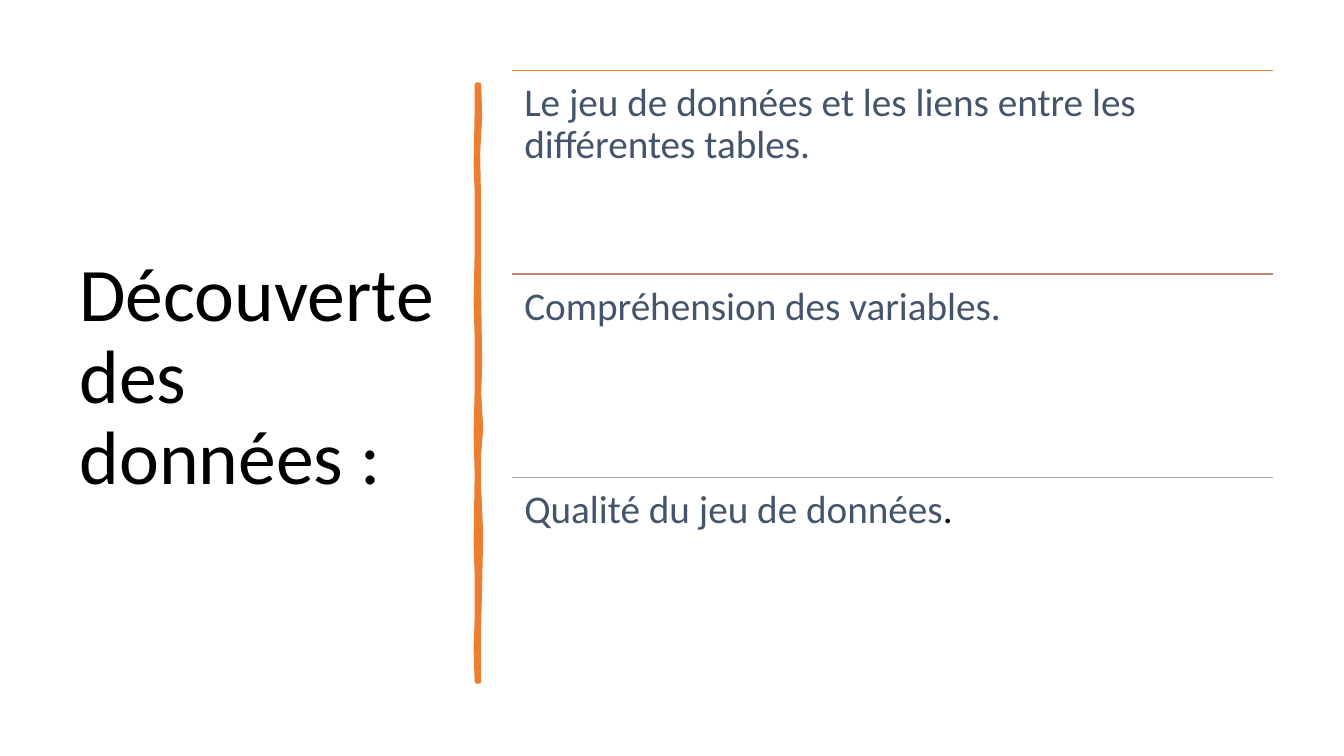
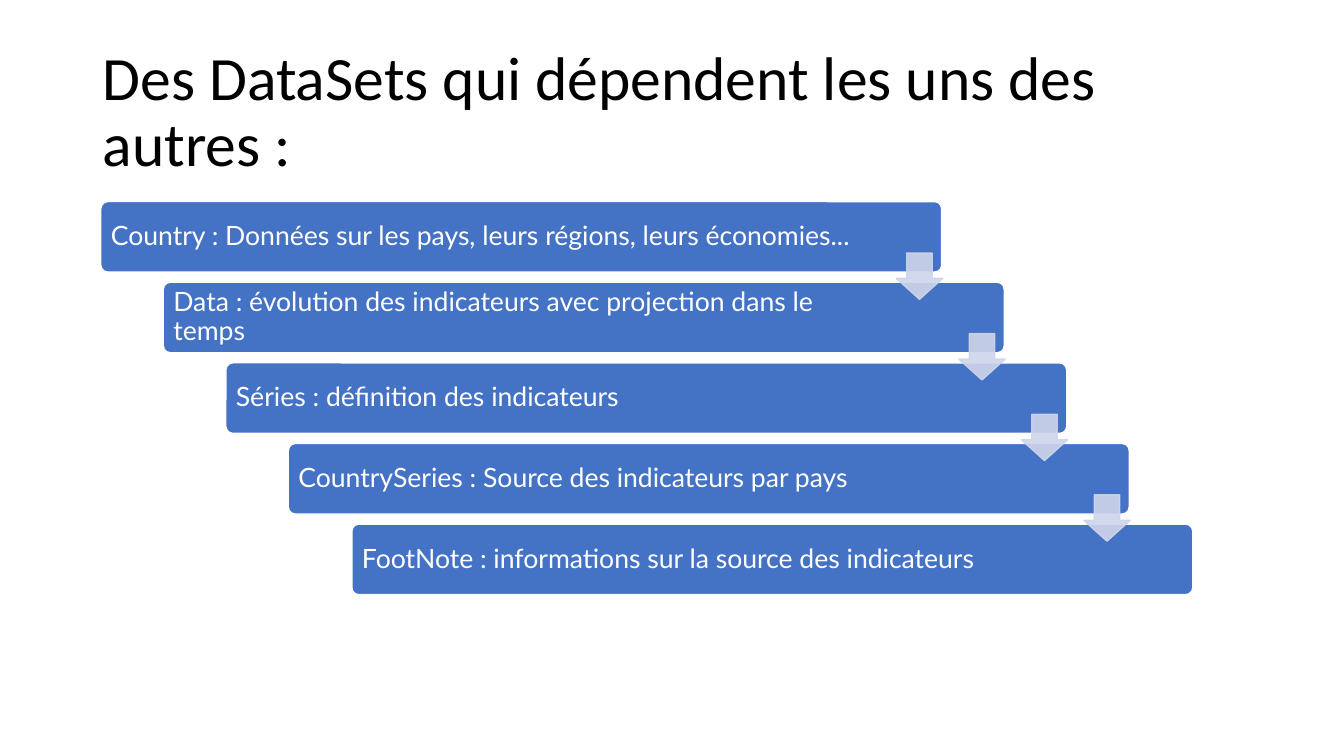
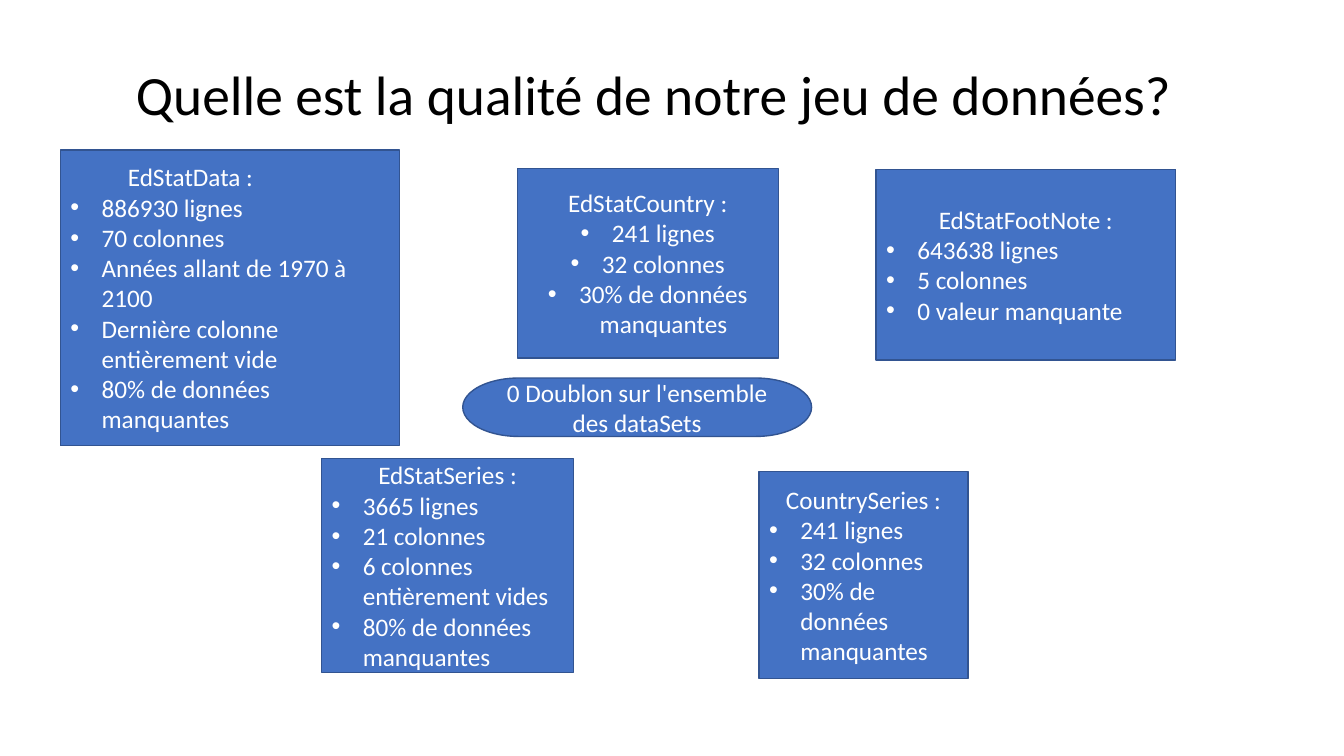
"""Build three slides presenting the data sets and their quality."""
from dataclasses import dataclass

from lxml import etree
from pptx import Presentation
from pptx import slide as sl
from pptx import util as u
from pptx.dml import color, fill
from pptx.enum import shapes, text
from pptx.oxml import ns
from pptx.shapes import autoshape
from pptx.text import text as tx

PX = 9144
BLACK, WHITE, SLATE = "000000", "FFFFFF", "44546A"
BLUE, BLUE_EDGE, PALE_BLUE = "4472C4", "325491", "CFD5EA"
ORANGE, RUST, GREY = "ED7D31", "C48170", "A5A5A5"
BODY_FONT, STEP_FONT = "Calibri", "Lato"
LEFT, CENTER = text.PP_ALIGN.LEFT, text.PP_ALIGN.CENTER
TOP, MIDDLE = text.MSO_ANCHOR.TOP, text.MSO_ANCHOR.MIDDLE
BULLET_INDENT = 31
TIGHT = 0.9


@dataclass(frozen=True)
class Box:
    left: int
    top: int
    width: int
    height: int

    def emu(self) -> tuple[int, int, int, int]:
        return px(self.left), px(self.top), px(self.width), px(self.height)


@dataclass(frozen=True)
class Style:
    size: float
    color: str = WHITE
    font: str = BODY_FONT


@dataclass(frozen=True)
class Topic:
    label: str
    rule_color: str
    ending: str = ""


@dataclass(frozen=True)
class Step:
    label: str
    right_inset: int = 116


@dataclass(frozen=True)
class Card:
    box: Box
    heading: str
    facts: tuple[str, ...]
    heading_align: text.PP_ALIGN = CENTER
    heading_indent: int = 0
    facts_align: text.PP_ALIGN = LEFT


TOPIC_STYLE = Style(28, SLATE)
STEP_STYLE = Style(19, font=STEP_FONT)
CARD_STYLE = Style(18)

TOPICS = (
    Topic("Le jeu de données et les liens entre les différentes tables.", ORANGE),
    Topic("Compréhension des variables.", RUST),
    Topic("Qualité du jeu de données", GREY, "."),
)
STEPS = (
    Step("Country : Données sur les pays, leurs régions, leurs économies...", 88),
    Step("Data : évolution des indicateurs avec projection dans le temps"),
    Step("Séries : définition des indicateurs"),
    Step("CountrySeries : Source des indicateurs par pays"),
    Step("FootNote : informations sur la source des indicateurs"),
)
CARDS = (
    Card(Box(60, 149, 336, 293), "EdStatData :",
         ("886930 lignes", "70 colonnes", "Années allant de 1970 à 2100",
          "Dernière colonne entièrement vide", "80% de données manquantes"),
         heading_align=LEFT, heading_indent=57),
    Card(Box(513, 167, 259, 188), "EdStatCountry :",
         ("241 lignes", "32 colonnes", "30% de données manquantes"),
         facts_align=CENTER),
    Card(Box(319, 455, 250, 212), "EdStatSeries :",
         ("3665 lignes", "21 colonnes", "6 colonnes entièrement vides",
          "80% de données manquantes")),
    Card(Box(869, 168, 297, 189), "EdStatFootNote :",
         ("643638 lignes", "5 colonnes", "0 valeur manquante")),
    Card(Box(753, 468, 207, 205), "CountrySeries :",
         ("241 lignes", "32 colonnes", "30% de données manquantes")),
)
STROKE_RIGHT = ((475, 84), (476, 115), (474, 152), (475, 208), (475, 294),
                (476, 362), (475, 390), (477, 425), (475, 450), (475, 485),
                (477, 530), (476, 578), (475, 620), (475, 676))
STROKE_LEFT = ((473, 676), (472, 645), (473, 613), (473, 570), (472, 539),
               (473, 471), (472, 430), (473, 386), (473, 335), (472, 300),
               (473, 250), (473, 190), (472, 164), (473, 110), (473, 84))


def px(length: int) -> int:
    return length * PX


def rgb(value: str) -> color.RGBColor:
    return color.RGBColor.from_string(value)


def format_runs(paragraph: tx._Paragraph, style: Style) -> None:
    for run in paragraph.runs:
        run.font.size = u.Pt(style.size)
        run.font.name = style.font
        run.font.color.rgb = rgb(style.color)


def set_frame(frame: tx.TextFrame, anchor: text.MSO_ANCHOR,
              side: int = 10, edge: int = 5) -> None:
    frame.word_wrap = True
    frame.vertical_anchor = anchor
    frame.margin_left = frame.margin_right = px(side)
    frame.margin_top = frame.margin_bottom = px(edge)


def add_text(slide: sl.Slide, box: Box, label: str, style: Style,
             anchor: text.MSO_ANCHOR = MIDDLE, side: int = 10,
             edge: int = 5) -> tx._Paragraph:
    frame = slide.shapes.add_textbox(*box.emu()).text_frame
    set_frame(frame, anchor, side, edge)
    frame.text = label
    paragraph = frame.paragraphs[0]
    paragraph.line_spacing = TIGHT
    format_runs(paragraph, style)
    return paragraph


def add_title(slide: sl.Slide, box: Box, label: str, size: float) -> None:
    add_text(slide, box, label, Style(size, BLACK))


def paint(shape: autoshape.Shape, fill_color: str, line_color: str,
          line_width: float = 1) -> None:
    shape.shadow.inherit = False
    shape.fill.solid()
    shape.fill.fore_color.rgb = rgb(fill_color)
    shape.line.color.rgb = rgb(line_color)
    shape.line.width = u.Pt(line_width)


def add_box(slide: sl.Slide, kind: shapes.MSO_SHAPE, box: Box,
            fill_color: str, line_color: str) -> autoshape.Shape:
    shape = slide.shapes.add_shape(kind, *box.emu())
    paint(shape, fill_color, line_color)
    set_frame(shape.text_frame, MIDDLE)
    return shape


def add_rule(slide: sl.Slide, left: int, top: int, width: int, line_color: str) -> None:
    rule = slide.shapes.add_connector(
        shapes.MSO_CONNECTOR.STRAIGHT, px(left), px(top), px(left + width), px(top))
    rule.line.color.rgb = rgb(line_color)
    rule.line.width = u.Pt(1)
    etree.SubElement(rule._element.spPr, ns.qn("a:effectLst"))


def add_brush_stroke(slide: sl.Slide) -> None:
    start, *others = STROKE_RIGHT + STROKE_LEFT
    builder = slide.shapes.build_freeform(*start, scale=PX)
    builder.add_line_segments(others, close=True)
    stroke = builder.convert_to_shape()
    paint(stroke, ORANGE, ORANGE, 3.25)
    etree.SubElement(stroke.line._get_or_add_ln(), ns.qn("a:round"))


def set_bullet(paragraph: tx._Paragraph) -> None:
    properties = paragraph._p.get_or_add_pPr()
    properties.set("marL", str(px(BULLET_INDENT)))
    properties.set("indent", str(-px(BULLET_INDENT)))
    etree.SubElement(properties, ns.qn("a:buFont"), typeface="Arial")
    etree.SubElement(properties, ns.qn("a:buChar"), char="•")


def set_opacity(paint_format: fill.FillFormat, percent: int) -> None:
    for element in paint_format._xPr.iter(ns.qn("a:srgbClr")):
        for old in element.findall(ns.qn("a:alpha")):
            element.remove(old)
        etree.SubElement(element, ns.qn("a:alpha"), val=str(percent * 1000))


def add_card(slide: sl.Slide, card: Card) -> None:
    shape = add_box(slide, shapes.MSO_SHAPE.FLOWCHART_PROCESS, card.box, BLUE, BLUE_EDGE)
    frame = shape.text_frame
    frame.text = "\n".join((card.heading, *card.facts))
    heading, *facts = frame.paragraphs
    heading.alignment = card.heading_align
    if card.heading_indent:
        heading._p.get_or_add_pPr().set("indent", str(px(card.heading_indent)))
    for fact in facts:
        fact.alignment = card.facts_align
        set_bullet(fact)
    for paragraph in frame.paragraphs:
        format_runs(paragraph, CARD_STYLE)


def build_discovery(slide: sl.Slide) -> None:
    add_title(slide, Box(69, 70, 374, 611), "Découverte des données :", 54)
    add_brush_stroke(slide)
    left, width, pitch = 508, 755, 202
    for index, topic in enumerate(TOPICS):
        top = 70 + index * pitch
        add_rule(slide, left, top, width, topic.rule_color)
        paragraph = add_text(slide, Box(left, top, width, pitch), topic.label,
                             TOPIC_STYLE, TOP, 12, 12)
        if topic.ending:
            paragraph.add_run().text = topic.ending
            format_runs(paragraph, TOPIC_STYLE)
            paragraph.runs[-1].font.color.rgb = rgb(BLACK)


def build_dependencies(slide: sl.Slide) -> None:
    add_title(slide, Box(92, 40, 1150, 145),
              "Des DataSets qui dépendent les uns des autres :", 44)
    offsets = [(index * 249 // 4, index * 80) for index in range(len(STEPS))]
    for step, (across, down) in zip(STEPS, offsets):
        shape = add_box(slide, shapes.MSO_SHAPE.ROUNDED_RECTANGLE,
                        Box(100 + across, 200 + down, 834, 70), BLUE, WHITE)
        shape.adjustments[0] = 0.1
        frame = shape.text_frame
        set_frame(frame, MIDDLE, 8, 0)
        frame.margin_right = px(step.right_inset)
        frame.text = step.label
        paragraph = frame.paragraphs[0]
        paragraph.alignment = LEFT
        paragraph.line_spacing = TIGHT
        format_runs(paragraph, STEP_STYLE)
    for across, down in offsets[:-1]:
        arrow = add_box(slide, shapes.MSO_SHAPE.DOWN_ARROW,
                        Box(889 + across, 251 + down, 46, 46), PALE_BLUE, PALE_BLUE)
        arrow.adjustments[0] = 0.55
        arrow.adjustments[1] = 0.45
        set_opacity(arrow.fill, 90)
        set_opacity(arrow.line.fill, 90)


def build_quality(slide: sl.Slide) -> None:
    add_title(slide, Box(125, 72, 1083, 49),
              "Quelle est la qualité de notre jeu de données?", 39.6)
    for card in CARDS:
        add_card(slide, card)
    summary = add_box(slide, shapes.MSO_SHAPE.FLOWCHART_TERMINATOR,
                      Box(459, 375, 346, 58), BLUE, BLUE_EDGE)
    summary.text_frame.text = "0 Doublon sur l'ensemble des dataSets"
    paragraph = summary.text_frame.paragraphs[0]
    paragraph.alignment = CENTER
    format_runs(paragraph, CARD_STYLE)


def main() -> None:
    presentation = Presentation()
    presentation.slide_width, presentation.slide_height = px(1333), px(750)
    blank = presentation.slide_layouts[6]
    for build in (build_discovery, build_dependencies, build_quality):
        build(presentation.slides.add_slide(blank))
    presentation.save("out.pptx")


if __name__ == "__main__":
    main()
